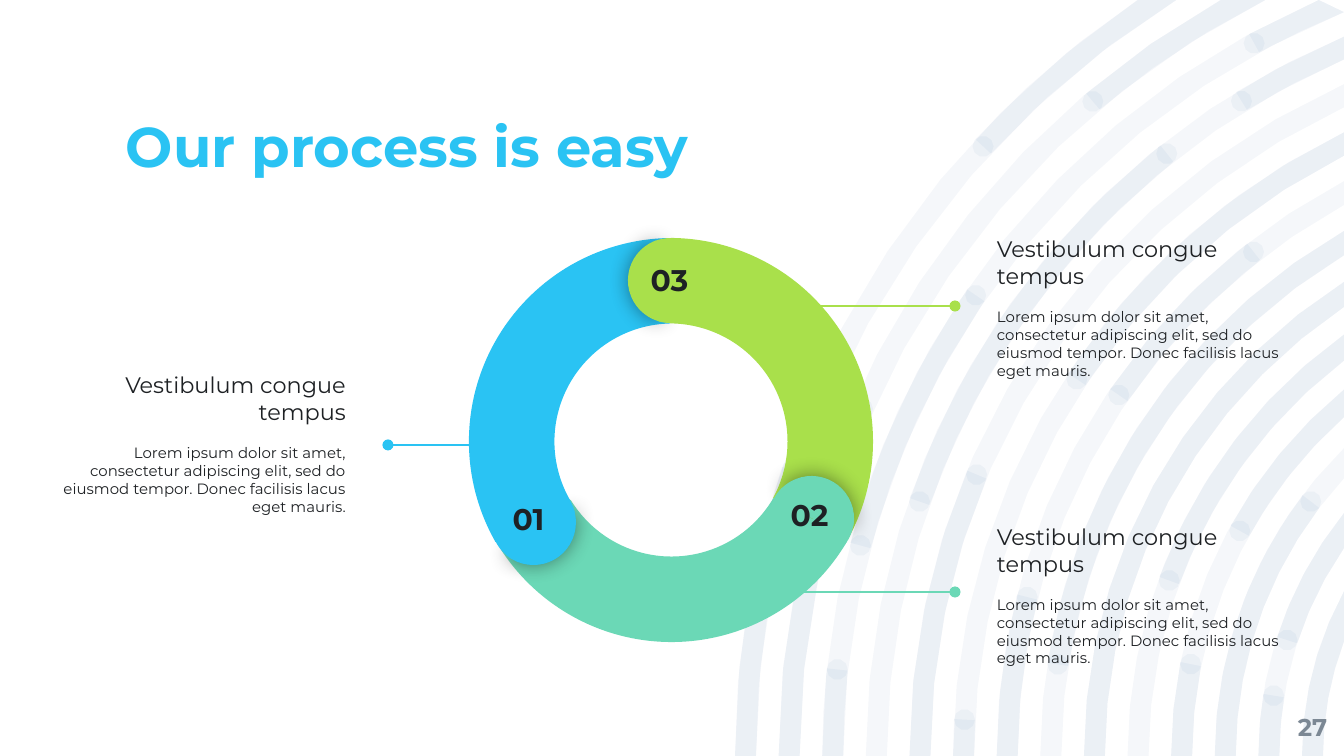
import math

import lxml.etree
import pptx
import pptx.dml.color
import pptx.enum.shapes
import pptx.enum.text
import pptx.oxml.ns
import pptx.util

SLIDE_W, SLIDE_H = 1344, 756
EMU_PER_PX = 9144000 / SLIDE_W
FONT = "Montserrat"
COLORS = {
    "blue": "2AC3F3",
    "green": "A9E04B",
    "teal": "6BD8B6",
    "ink": "1E2124",
    "gray": "7C8894",
    "navy": "004591",
    "black": "000000",
}
ALIGN = pptx.enum.text.PP_ALIGN
ANCHOR = pptx.enum.text.MSO_ANCHOR
SHAPE = pptx.enum.shapes.MSO_SHAPE
HEADING = "Vestibulum congue tempus"
BODY = (
    "Lorem ipsum dolor sit amet, consectetur adipiscing elit, sed do "
    "eiusmod tempor. Donec facilisis lacus eget mauris."
)
WAVE_SEGMENTS = [
    [(0, 18.5), (42.6, 90)],
    [(0, 23.9), (49.8, 90)],
    [(0, 6.1), (15, 34.5), (61.2, 90)],
    [(19.3, 51.5), (58.3, 90)],
    [(0, 22.8)],
    [(0, 3.05), (33.5, 90)],
    [(0, 14.4), (34.4, 52.1)],
    [(8.85, 90)],
    [(0, 90)],
    [(20.2, 90)],
    [(0, 11.4), (29, 90)],
    [(0, 37.2)],
    [(0, 9.2), (17.9, 90)],
    [(0, 90)],
]


def px(length):
    return round(length * EMU_PER_PX)


def rgb(color):
    return pptx.dml.color.RGBColor.from_string(COLORS[color])


def add_xml(parent, tag, **attributes):
    return lxml.etree.SubElement(parent, pptx.oxml.ns.qn(tag), **attributes)


def set_frame(frame, anchor, inset):
    frame.word_wrap = True
    frame.auto_size = pptx.enum.text.MSO_AUTO_SIZE.NONE
    frame.vertical_anchor = anchor
    frame.margin_left = frame.margin_right = px(inset)
    frame.margin_top = frame.margin_bottom = px(inset)


def write(frame, text, size, color="ink", bold=False, align=ALIGN.LEFT, before=0, spacing=1.0):
    paragraph = frame.paragraphs[0]
    if paragraph.runs:
        paragraph = frame.add_paragraph()
    paragraph.alignment = align
    paragraph.space_before = pptx.util.Pt(before)
    paragraph.line_spacing = spacing
    run = paragraph.add_run()
    run.text = text
    run.font.name = FONT
    run.font.size = pptx.util.Pt(size)
    run.font.bold = bold
    run.font.color.rgb = rgb(color)


def add_frame(slide, box, anchor, inset):
    frame = slide.shapes.add_textbox(*map(px, box)).text_frame
    set_frame(frame, anchor, inset)
    return frame


def add_contours(slide, contours):
    points = [[(px(x), px(y)) for x, y in contour] for contour in contours]
    builder = slide.shapes.build_freeform(*points[0][0])
    for index, contour in enumerate(points):
        if index:
            builder.move_to(*contour[0])
        builder.add_line_segments(contour[1:], close=True)
    wave = builder.convert_to_shape()
    wave.shadow.inherit = False
    wave.line.fill.background()
    wave.fill.solid()
    wave.fill.fore_color.rgb = rgb("navy")
    tint = wave.element.spPr.find(".//" + pptx.oxml.ns.qn("a:srgbClr"))
    add_xml(tint, "a:alpha", val="4000")
    slide.shapes.title.element.addprevious(wave.element)


def draw_waves(slide, box):
    left, top, width, height = box
    bottom, outer, inner, thickness = top + height, 911, 344, 21
    center_x = left + outer
    step = (outer - inner) / (len(WAVE_SEGMENTS) - 1)

    def arc(radius, start, end):
        top_exit = math.asin(min(1, height / radius))
        right_exit = math.acos((outer - width) / radius)
        first = math.radians(start)
        last = min(math.radians(end), top_exit, right_exit)
        parts = max(1, math.ceil(math.degrees(last - first) / 6))
        angles = [first + (last - first) * i / parts for i in range(parts + 1)]
        return [(center_x - radius * math.cos(a), bottom - radius * math.sin(a)) for a in angles]

    def band(radius, start, end):
        return arc(radius, start, end) + arc(radius - thickness, start, end)[::-1]

    def dot(radius, degrees):
        x = center_x - radius * math.cos(math.radians(degrees))
        y = bottom - radius * math.sin(math.radians(degrees))
        turns = [math.tau * i / 10 for i in range(10)]
        return [(x + thickness / 2 * math.cos(t), y + thickness / 2 * math.sin(t)) for t in turns]

    full, accents, dots = [], [], []
    for index, segments in enumerate(WAVE_SEGMENTS):
        radius = outer - index * step
        full.append(band(radius, 0, 90))
        for segment in segments:
            accents.append(band(radius, *segment))
            dots += [dot(radius - thickness / 2, end) for end in segment if 0 < end < 90]
    for contours in (full, accents, dots):
        add_contours(slide, contours)


def draw_title(slide, box):
    title = slide.shapes.title
    title.left, title.top, title.width, title.height = map(px, box)
    set_frame(title.text_frame, ANCHOR.BOTTOM, 0)
    write(title.text_frame, "Our process is easy", 30, color="blue", bold=True, spacing=0.9)


def draw_page_number(slide, box):
    frame = add_frame(slide, box, ANCHOR.MIDDLE, 0)
    write(frame, "27", 13, color="gray", bold=True, align=ALIGN.RIGHT)


def draw_callout(slide, box, color, align, leader):
    frame = add_frame(slide, box, ANCHOR.MIDDLE, 13)
    write(frame, HEADING, 12, align=align)
    write(frame, BODY, 8, align=align, before=10)
    start, end, drop = leader
    left, y = box[0], box[1] + drop
    connector = slide.shapes.add_connector(
        pptx.enum.shapes.MSO_CONNECTOR.STRAIGHT, px(left + start), px(y), px(left + end), px(y)
    )
    connector.line.color.rgb = rgb(color)
    connector.line.width = pptx.util.Pt(0.75)
    properties = connector.element.spPr
    add_xml(properties.find(pptx.oxml.ns.qn("a:ln")), "a:tailEnd", type="oval")
    add_xml(properties, "a:effectLst")


def add_sector(slide, preset, box, rotation, adjustments, color, shadow=False):
    sector = slide.shapes.add_shape(preset, *map(px, box))
    sector.rotation = rotation
    for index, value in enumerate(adjustments):
        sector.adjustments[index] = value
    sector.fill.solid()
    sector.fill.fore_color.rgb = rgb(color)
    sector.line.fill.background()
    sector.shadow.inherit = False
    if shadow:
        effects = sector.element.spPr.find(pptx.oxml.ns.qn("a:effectLst"))
        glow = add_xml(effects, "a:outerShdw", blurRad=str(pptx.util.Pt(11.2)), dist="0",
                       algn="ctr", rotWithShape="0")
        add_xml(add_xml(glow, "a:srgbClr", val=COLORS["black"]), "a:alpha", val="43000")


def draw_cycle(slide, box):
    left, top, size, _ = box
    arcs = [("green", 60, 0, 3), ("teal", 180, 2, 0), ("blue", 300, 3, 3)]
    for color, rotation, x, y in arcs:
        add_sector(slide, SHAPE.BLOCK_ARC, (left + x, top + y, size, size), rotation,
                   (126.23, 197.2, 0.21), color)
    steps = [
        ("01", "blue", 240, (25, 245), (25, 253)),
        ("03", "green", 0, (162, 3), (166, 14)),
        ("02", "teal", 120, (303, 241), (306, 249)),
    ]
    for _, color, rotation, (x, y), _ in steps:
        cap = (left + x, top + y, 85, 85)
        add_sector(slide, SHAPE.PIE, cap, rotation + 0.7, (61.9, 149.96), color, shadow=True)
        add_sector(slide, SHAPE.PIE, cap, (rotation + 180) % 360, (40.28, 171.84), color)
    for number, _, _, _, (x, y) in steps:
        frame = add_frame(slide, (left + x, top + y, 75, 39), ANCHOR.TOP, 13)
        write(frame, number, 16, bold=True, align=ALIGN.CENTER)


def main():
    deck = pptx.Presentation()
    deck.slide_width, deck.slide_height = px(SLIDE_W), px(SLIDE_H)
    slide = deck.slides.add_slide(deck.slide_layouts[5])
    draw_waves(slide, (735, 0, 609, SLIDE_H))
    draw_title(slide, (126, 122, 1093, 58))
    draw_page_number(slide, (1246, 698, 81, 58))
    draw_callout(slide, (47, 348, 312, 190), "blue", ALIGN.RIGHT, (434, 341, 97))
    draw_callout(slide, (984, 212, 312, 190), "green", ALIGN.LEFT, (-218, -29, 94))
    draw_callout(slide, (984, 500, 312, 190), "teal", ALIGN.LEFT, (-218, -29, 92))
    draw_cycle(slide, (466, 235, 407, 407))
    deck.save("out.pptx")


if __name__ == "__main__":
    main()
